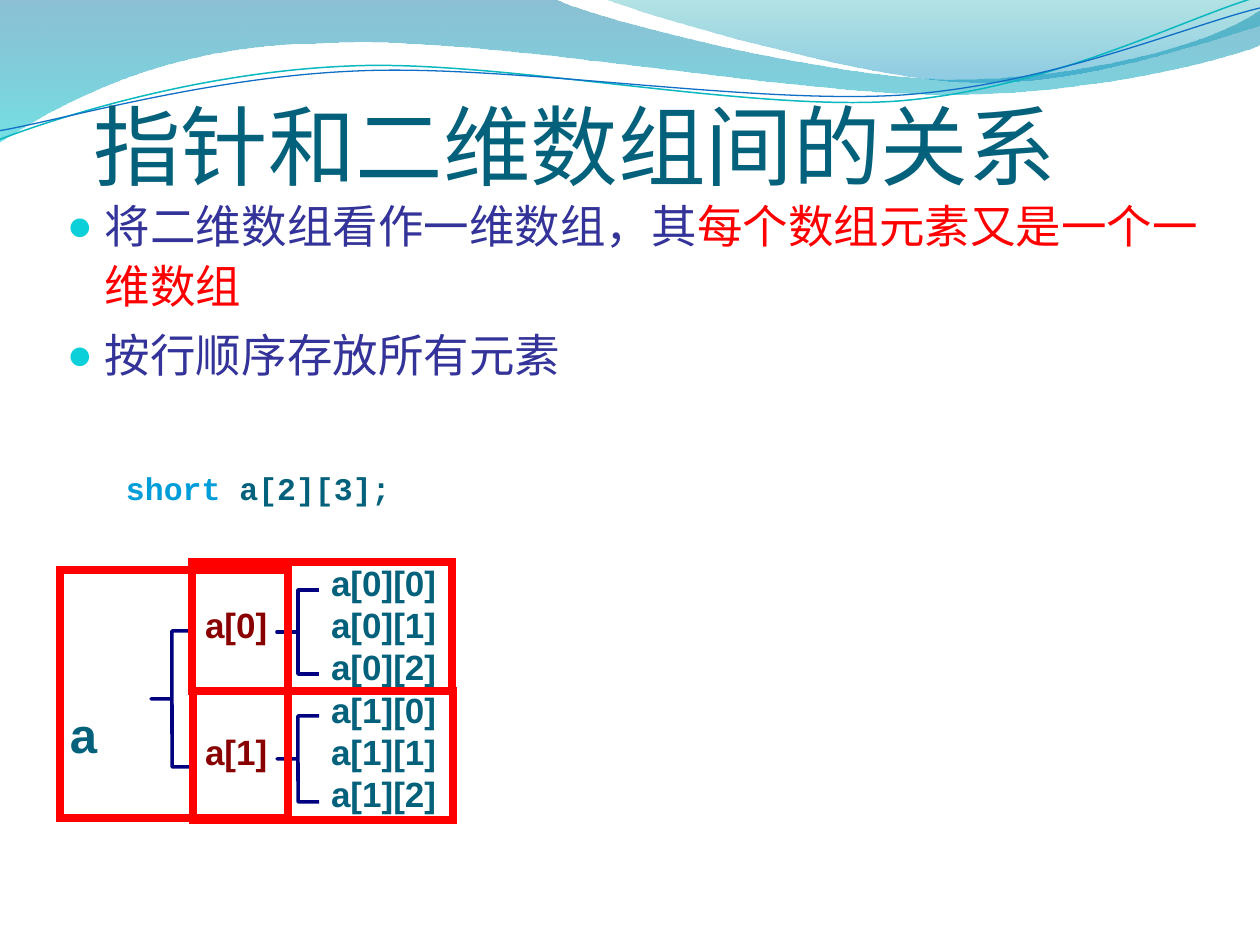
from lxml import etree
from pptx import Presentation
from pptx import util as u
from pptx.dml.color import RGBColor
from pptx.enum import shapes, text
from pptx.oxml import parse_xml
from pptx.oxml.ns import nsdecls, qn

EMU_PER_PX = 914400 / 126
TEAL = RGBColor(0x04, 0x61, 0x7B)
SKY = RGBColor(0x00, 0x9D, 0xD9)
INDIGO = RGBColor(0x33, 0x33, 0x99)
RED = RGBColor(0xFF, 0x00, 0x00)
MAROON = RGBColor(0x88, 0x00, 0x00)
NAVY = RGBColor(0x00, 0x00, 0x80)

# Content: runs are (text, colour)
TITLE = "指针和二维数组间的关系"
BULLETS = [
    [("将二维数组看作一维数组，其", INDIGO), ("每个数组元素又是一个一维数组", RED)],
    [("按行顺序存放所有元素", INDIGO)],
]
DECLARATION = [("short", SKY), (" a[2][3];", TEAL)]
ROWS, COLUMNS = 2, 3

# Waves: start point, then cubic curves (6 numbers) or straight lines (2 numbers), in px
WAVE_BANDS = [
    ((0, -1), [(554, -1), (600, 21, 837, 79, 955, 79), (1075, 79, 1207, 47, 1260, 11),
               (1261, 45), (1239, 55, 1096, 96, 940, 94), (784, 94, 481, 35, 324, 43),
               (163, 44, 58, 105, -1, 142)],
     [(RGBColor(0x00, 0x74, 0xA1), 45), (RGBColor(0x00, 0xC6, 0xCF), 55)]),
    ((604, -1), [(641, 14, 859, 78, 969, 82), (1079, 87, 1211, 40, 1260, 26), (1260, 0)],
     [(RGBColor(0x00, 0xA1, 0xA9), 30), (RGBColor(0x00, 0x8B, 0xBF), 45)]),
]
WAVE_LINES = [
    ((-2, 140), [(58, 117, 199, 72, 349, 66), (498, 59, 747, 112, 898, 101),
                 (1050, 89, 1182, 19, 1257, -3)], RGBColor(0x0A, 0xB8, 0xBF), 0.85),
    ((-2, 131), [(59, 121, 207, 77, 357, 71), (508, 64, 752, 105, 903, 95),
                 (1053, 84, 1186, 26, 1260, 8)], RGBColor(0x0F, 0x6F, 0xC6), 0.75),
]

# Tree: braces and frames, in px
BRACES = [(151, 631, 42, 136), (277, 590, 42, 84), (277, 716, 42, 86)]
FRAMES = [(60, 570, 228, 248), (192, 562, 260, 129), (193, 691, 260, 129)]


def px(value):
    return u.Emu(round(value * EMU_PER_PX))


def add_wave(slide, start, segments, close):
    """Draw straight lines between the end points, then bend them into curves."""
    builder = slide.shapes.build_freeform(px(start[0]), px(start[1]))
    builder.add_line_segments([(px(s[-2]), px(s[-1])) for s in segments], close=close)
    shape = builder.convert_to_shape()
    shape.shadow.inherit = False
    for line, segment in zip(list(shape._element.iter(qn("a:lnTo"))), segments):
        if len(segment) == 6:
            curve = etree.Element(qn("a:cubicBezTo"))
            for x, y in zip(segment[::2], segment[1::2]):
                point = etree.SubElement(curve, qn("a:pt"))
                point.set("x", str(px(x) - shape.left))
                point.set("y", str(px(y) - shape.top))
            line.getparent().replace(line, curve)
    return shape


def outline(shape, colour, width):
    shape.shadow.inherit = False
    shape.fill.background()
    shape.line.color.rgb = colour
    shape.line.width = u.Pt(width)


def add_runs(paragraph, runs, font, size, bold=False):
    for words, colour in runs:
        run = paragraph.add_run()
        run.text = words
        run.font.name, run.font.size, run.font.bold = font, u.Pt(size), bold
        run.font.color.rgb = colour


def add_text(slide, box, paragraphs, font, size, bold=True, inset=0, line_spacing=None):
    frame = slide.shapes.add_textbox(*(px(v) for v in box)).text_frame
    frame.word_wrap = True
    frame.margin_left = frame.margin_right = px(2 * inset)
    frame.margin_top = frame.margin_bottom = px(inset)
    for index, runs in enumerate(paragraphs):
        paragraph = frame.add_paragraph() if index else frame.paragraphs[0]
        paragraph.line_spacing = line_spacing
        add_runs(paragraph, runs, font, size, bold)
    return frame


def add_bullet(paragraph):
    properties = paragraph._p.get_or_add_pPr()
    properties.set("marL", str(px(38)))
    properties.set("indent", str(-px(38)))
    for tag in ('buClr {}><a:srgbClr val="0BD0D9"/></a:buClr', 'buSzPct {} val="95000"/',
                'buFont {} typeface="Arial"/', 'buChar {} char="●"/'):
        properties.append(parse_xml("<a:" + tag.format(nsdecls("a")) + ">"))


def add_tab_stop(paragraph, position):
    tabs = etree.SubElement(paragraph._p.get_or_add_pPr(), qn("a:tabLst"))
    etree.SubElement(tabs, qn("a:tab"), pos=str(px(position)), algn="l")


def main():
    presentation = Presentation()
    presentation.slide_width, presentation.slide_height = px(1260), px(945)
    slide = presentation.slides.add_slide(presentation.slide_layouts[5])

    # Waves at the top
    for start, segments, stops in WAVE_BANDS:
        shape = add_wave(slide, start, segments, True)
        shape.line.fill.background()
        shape.fill.gradient()
        shape.fill.gradient_angle = 270
        for position, (stop, (colour, opacity)) in enumerate(
                zip(shape.fill.gradient_stops, stops)):
            stop.position = position
            stop.color.rgb = colour
        for element, (_, opacity) in zip(shape._element.iter(qn("a:srgbClr")), stops):
            etree.SubElement(element, qn("a:alpha")).set("val", str(opacity * 1000))
    for start, segments, colour, width in WAVE_LINES:
        outline(add_wave(slide, start, segments, False), colour, width)

    # Title, in front of the waves
    title = slide.shapes.title
    slide.shapes._spTree.append(title._element)
    title.left, title.top, title.width, title.height = (px(v) for v in (93, 81, 1075, 116))
    frame = title.text_frame
    frame.auto_size = text.MSO_AUTO_SIZE.NONE
    frame.vertical_anchor = text.MSO_ANCHOR.BOTTOM
    frame.margin_left = frame.margin_right = frame.margin_bottom = 0
    frame.paragraphs[0].alignment = text.PP_ALIGN.LEFT
    add_runs(frame.paragraphs[0], [(TITLE, TEAL)], "Calibri", 50)

    # Bullets
    frame = add_text(slide, (55, 187, 1171, 228), BULLETS, "TeX Gyre Pagella", 26,
                     bold=False, inset=6, line_spacing=1.1)
    for index, paragraph in enumerate(frame.paragraphs):
        if index:
            paragraph.space_before = u.Pt(5)
        add_bullet(paragraph)

    # Tree: each row name stands beside its middle element
    lines = []
    for row in range(ROWS):
        for column in range(COLUMNS):
            name = [(f"a[{row}]", MAROON)] if column == COLUMNS // 2 else []
            lines.append(name + [(f"\ta[{row}][{column}]", TEAL)])
    frame = add_text(slide, (205, 562, 356, 252), lines, "Arial", 20,
                     line_spacing=u.Pt(24))
    for paragraph in frame.paragraphs:
        add_tab_stop(paragraph, 126)
    add_text(slide, (70, 704, 48, 56), [[("a", TEAL)]], "Arial", 28)

    # Braces
    for box in BRACES:
        brace = slide.shapes.add_shape(shapes.MSO_SHAPE.LEFT_BRACE, *(px(v) for v in box))
        brace.adjustments[0], brace.adjustments[1] = 0, 0.5
        outline(brace, NAVY, 2)

    # Declaration
    add_text(slide, (114, 463, 378, 63), [DECLARATION], "Courier New", 18, inset=6)

    # Red frames with square corners
    for box in FRAMES:
        frame = slide.shapes.add_shape(shapes.MSO_SHAPE.RECTANGLE, *(px(v) for v in box))
        outline(frame, RED, 4.5)
        etree.SubElement(frame.line._get_or_add_ln(), qn("a:miter"), lim="800000")

    presentation.save("out.pptx")


if __name__ == "__main__":
    main()
